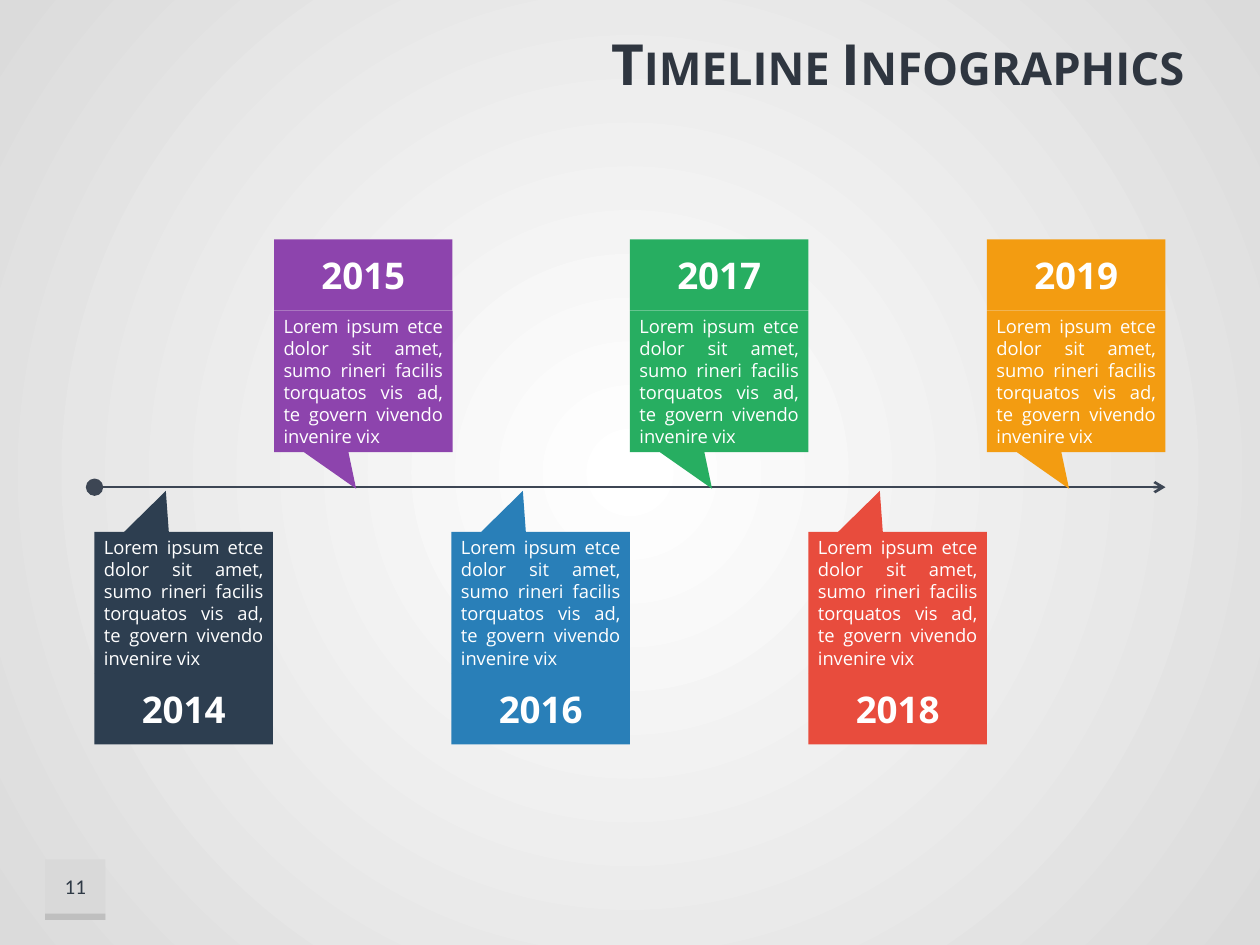
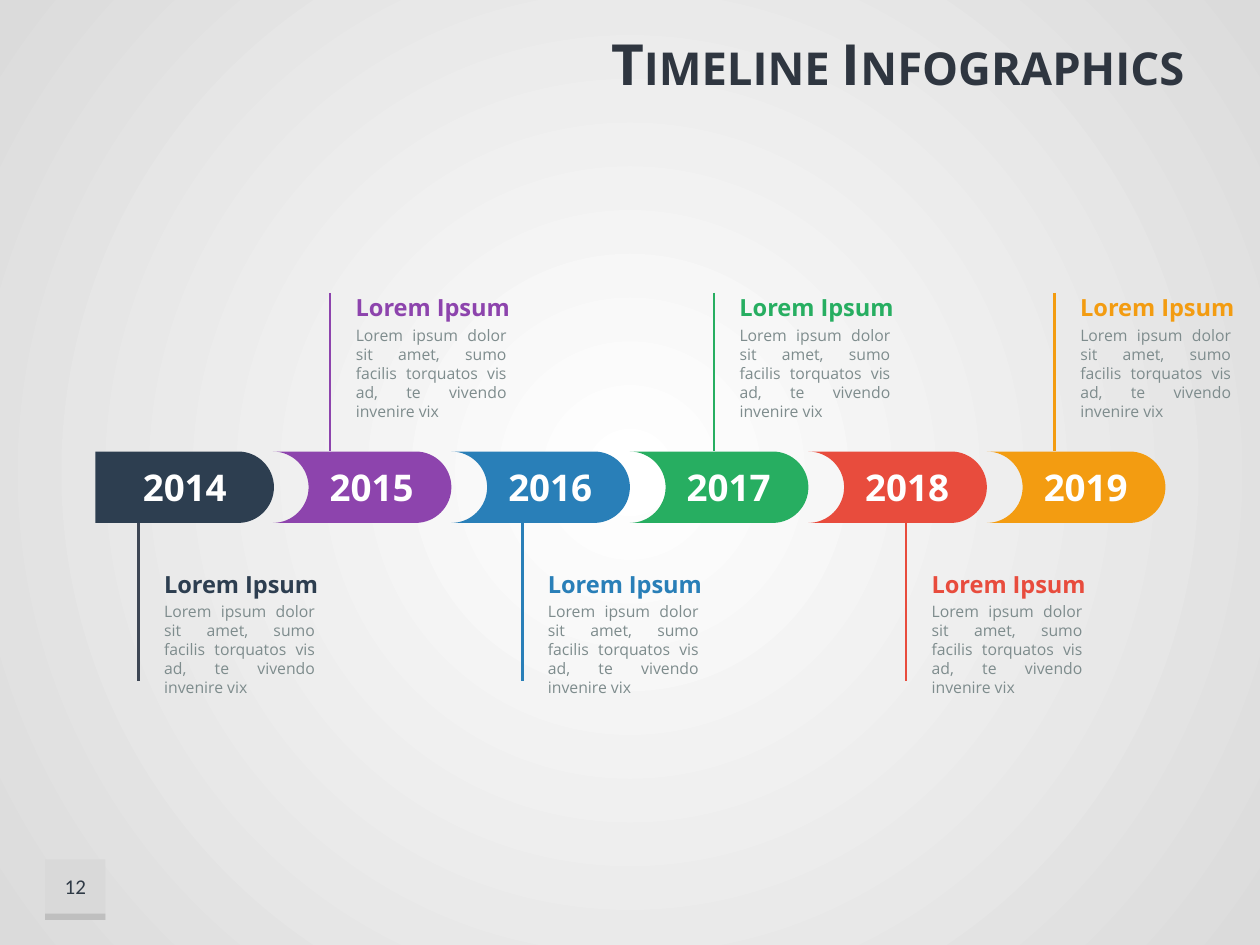
import dataclasses

import lxml.etree
import pptx
import pptx.dml.color
import pptx.enum.shapes
import pptx.enum.text
import pptx.oxml
import pptx.oxml.ns
import pptx.util

KIND = pptx.enum.shapes.MSO_SHAPE
ALIGN = pptx.enum.text.PP_ALIGN
ANCHOR = pptx.enum.text.MSO_ANCHOR
FIT = pptx.enum.text.MSO_AUTO_SIZE
Pt = pptx.util.Pt
qn = pptx.oxml.ns.qn

TITLE = "Timeline Infographics"
HEAD = "Lorem Ipsum"
CARD = ("Lorem ipsum etce dolor sit amet, sumo rineri facilis torquatos "
        "vis ad, te govern vivendo invenire vix")
NOTE = ("Lorem ipsum dolor sit amet, sumo facilis torquatos vis ad, "
        "te vivendo invenire vix")
YEARS = [
    ("2014", "2D3E50"),
    ("2015", "8D44AD"),
    ("2016", "297FB8"),
    ("2017", "27AE61"),
    ("2018", "E84C3D"),
    ("2019", "F39C11"),
]
STEMS = [264 + i * 731 // 2 for i in range(5)] + [2009]
SCALE = 914400 // 240
SIZE = (2400, 1800)
LEFT, RIGHT, AXIS = 180, 2220, 928
WIDE = (RIGHT - LEFT) // len(YEARS)
BAND, TALL, STEM = 136, 269, 302
ROUND = BAND // 2
INSET = (18, 9, 18, 9)
BOW = 0.55


def face(size, bold=False, name="Open Sans"):
    return {"size": Pt(size), "bold": bold, "name": name}


@dataclasses.dataclass(frozen=True)
class Theme:
    inner: str = "FFFFFF"
    outer: str = "DBDBDB"
    badge: str = "D9D9D9"
    edge: str = "BFBFBF"
    title: str = "2F3640"
    page: str = "2F3A46"
    axis: str = "3D4654"
    white: str = "FFFFFF"
    grey: str = "7E8C8D"
    line: float = 1.5
    fonts: dict = dataclasses.field(default_factory=lambda: {
        "title": face(32.4, True),
        "page": face(12, name="Calibri"),
        "year": face(21, True),
        "card": face(10.5),
        "head": face(13.5, True),
        "note": face(9),
    })


THEME = Theme()


def emu(px):
    return px * SCALE


def rgb(code):
    return pptx.dml.color.RGBColor.from_string(code)


def apply(item, values):
    for key, value in values.items():
        setattr(item, key, value)


def write(shape, text, font, tint, align=ALIGN.LEFT, anchor=ANCHOR.TOP,
          inset=(24, 12, 24, 12), wrap=True, fit=FIT.NONE):
    frame = shape.text_frame
    left, top, right, low = map(emu, inset)
    apply(frame, {"word_wrap": wrap, "vertical_anchor": anchor,
                  "margin_left": left, "margin_top": top,
                  "margin_right": right, "margin_bottom": low,
                  "auto_size": fit})
    para = frame.paragraphs[0]
    para.alignment = align
    run = para.add_run()
    run.text = text
    apply(run.font, THEME.fonts[font])
    run.font.color.rgb = rgb(tint)
    return run


def paint(shape, tint):
    shape.shadow.inherit = False
    shape.fill.solid()
    shape.fill.fore_color.rgb = rgb(tint)
    shape.line.fill.background()
    return shape


def block(slide, box, tint, kind=KIND.RECTANGLE):
    return paint(slide.shapes.add_shape(kind, *map(emu, box)), tint)


def label(slide, box, *args, **opts):
    return write(slide.shapes.add_textbox(*map(emu, box)), *args, **opts)


def rule(slide, start, end, tint, ends=()):
    link = slide.shapes.add_connector(
        pptx.enum.shapes.MSO_CONNECTOR.STRAIGHT, *map(emu, start + end))
    link.line.color.rgb = rgb(tint)
    link.line.width = Pt(THEME.line)
    props = link.element.spPr
    for tag, kind, size in ends:
        lxml.etree.SubElement(props.find(qn("a:ln")), qn(f"a:{tag}"),
                              type=kind, w=size, len=size)
    lxml.etree.SubElement(props, qn("a:effectLst"))


def glow(master):
    fill = master.background.fill
    fill.gradient()
    for stop, tint, spot in zip(fill.gradient_stops,
                                (THEME.inner, THEME.outer), (0, 1)):
        stop.color.rgb = rgb(tint)
        stop.position = spot
    grad = master.element.find(".//" + qn("a:gradFill"))
    grad.replace(grad.find(qn("a:lin")), pptx.oxml.parse_xml(
        f'<a:path {pptx.oxml.ns.nsdecls("a")} path="circle">'
        '<a:fillToRect l="50000" t="50000" r="50000" b="50000"/></a:path>'))


def begin(deck, page):
    slide = deck.slides.add_slide(deck.slide_layouts[6])
    block(slide, (86, 1637, 115, 115), THEME.badge)
    block(slide, (86, 1740, 115, 12), THEME.edge)
    run = label(slide, (468, 38, 1812, 163), TITLE, "title", THEME.title,
                ALIGN.RIGHT, ANCHOR.MIDDLE)
    run.font._element.set("cap", "small")
    label(slide, (86, 1637, 115, 103), page, "page", THEME.page,
          ALIGN.CENTER, ANCHOR.MIDDLE)
    return slide


def slot(i, moved):
    return LEFT + i * WIDE + (2 if i == moved else 0)


def cards(slide):
    rule(slide, (LEFT, AXIS), (RIGHT, AXIS), THEME.axis,
         (("headEnd", "oval", "lg"), ("tailEnd", "arrow", "med")))
    for i, (year, tint) in enumerate(YEARS):
        x = slot(i, 1)
        if i % 2:
            top, cap, tip = 592, 592 - BAND, (-0.04, 0.76)
            anchor = ANCHOR.BOTTOM
        else:
            top, cap, tip = 1013, 1013 + TALL, (-0.1, -0.79)
            anchor = ANCHOR.TOP
        card = block(slide, (x, top, WIDE, TALL), tint,
                     KIND.RECTANGULAR_CALLOUT)
        for n, value in enumerate(tip):
            card.adjustments[n] = value
        write(card, CARD, "card", THEME.white, ALIGN.JUSTIFY, anchor, INSET)
        write(block(slide, (x, cap, WIDE, BAND), tint), year, "year",
              THEME.white, ALIGN.CENTER, ANCHOR.MIDDLE, INSET)


def bend(shape, mid):
    root = shape.element
    last = root.find(".//" + qn("a:moveTo"))[0]
    for node in root.findall(".//" + qn("a:lnTo")):
        goal = node[0]
        ax, ay, bx, by = (int(dot.get(key)) for dot in (last, goal)
                          for key in "xy")
        if mid in (ay, by):
            node.tag = qn("a:cubicBezTo")
            dx, dy = round(BOW * (bx - ax)), round(BOW * (by - ay))
            pair = ([(ax + dx, ay), (bx, by - dy)] if by == mid
                    else [(ax, ay + dy), (bx - dx, by)])
            for n, (x, y) in enumerate(pair):
                node.insert(n, lxml.etree.Element(qn("a:pt"),
                                                  x=str(x), y=str(y)))
        last = goal


def pill(slide, x, tint, notch):
    top, low, flat = AXIS - ROUND, AXIS + ROUND, x + WIDE - ROUND
    dots = [(x, low), (flat, low), (x + WIDE, AXIS), (flat, top), (x, top)]
    if notch:
        dots += [(x + ROUND, AXIS), (x, low)]
    dots = [(emu(a), emu(b)) for a, b in dots]
    form = slide.shapes.build_freeform(*dots[0])
    form.add_line_segments(dots[1:], close=True)
    shape = form.convert_to_shape()
    bend(shape, emu(ROUND))
    return paint(shape, tint)


def chain(slide):
    for i, (year, tint) in enumerate(YEARS):
        align, inset = ((ALIGN.RIGHT, (18, 9, 72, 9)) if i
                        else (ALIGN.CENTER, INSET))
        write(pill(slide, slot(i, 0), tint, i > 0), year, "year",
              THEME.white, align, ANCHOR.MIDDLE, inset)
    for i, (x, (year, tint)) in enumerate(zip(STEMS, YEARS)):
        top, head = ((AXIS - ROUND - STEM, 547) if i % 2
                     else (AXIS + ROUND, 1073))
        rule(slide, (x, top), (x, top + STEM), tint if i else THEME.axis)
        label(slide, (x + 25, head, 346, 79), HEAD, "head", tint,
              wrap=False, fit=FIT.SHAPE_TO_FIT_TEXT)
        label(slide, (x + 25, head + 62, 334, 206), NOTE, "note",
              THEME.grey, ALIGN.JUSTIFY, fit=FIT.SHAPE_TO_FIT_TEXT)


def main():
    deck = pptx.Presentation()
    deck.slide_width, deck.slide_height = map(emu, SIZE)
    glow(deck.slide_master)
    for page, draw in (("11", cards), ("12", chain)):
        draw(begin(deck, page))
    deck.save("out.pptx")


if __name__ == "__main__":
    main()
